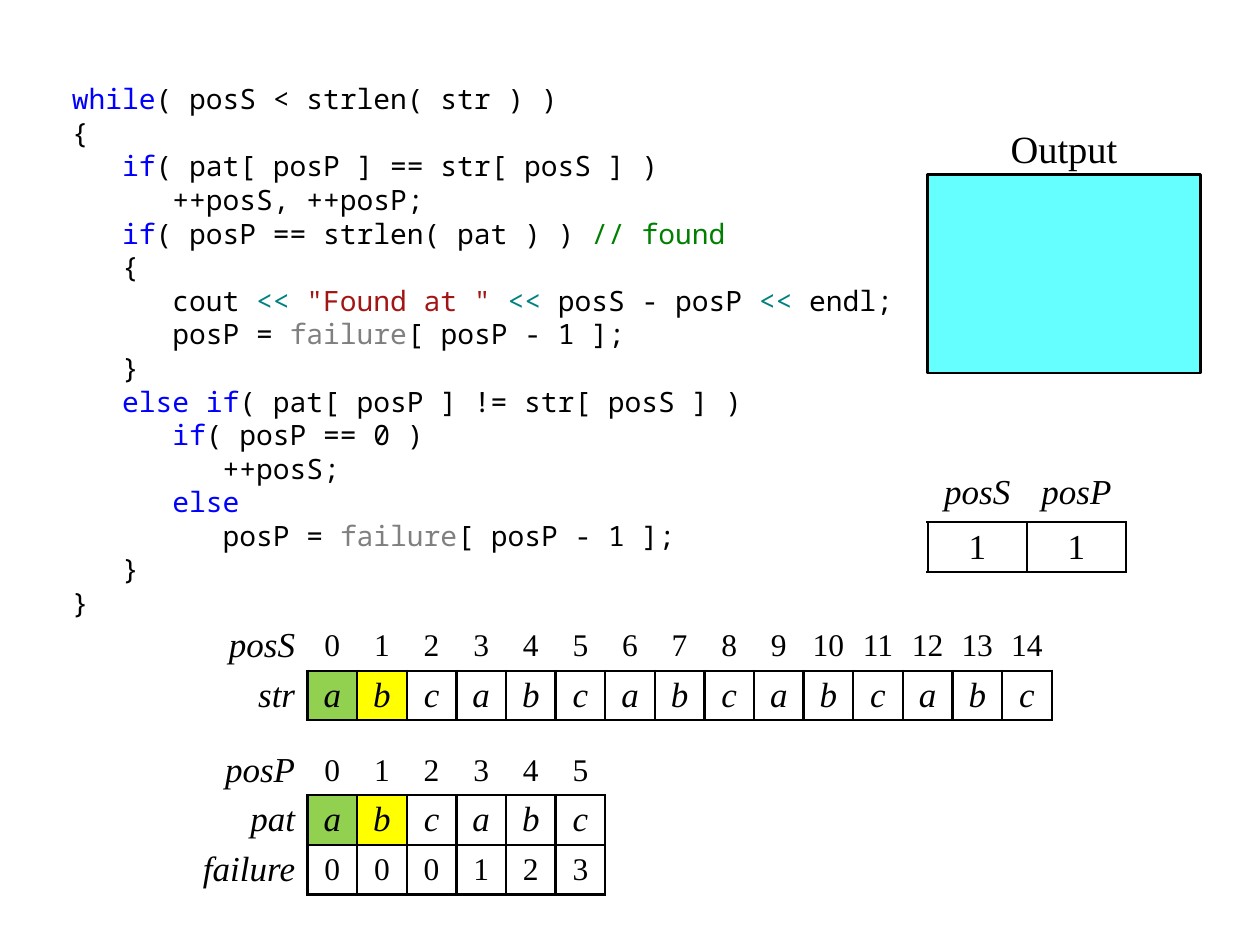
from pptx import Presentation
from pptx.dml.color import RGBColor as Rgb
from pptx.enum.shapes import MSO_SHAPE as Shape
from pptx.enum.text import MSO_ANCHOR as Anchor, PP_ALIGN as Align
from pptx.oxml.ns import qn
from pptx.util import Cm, Pt
from lxml.etree import SubElement as Sub

HUE = {"ink": "000000", "key": "0000FF", "note": "008000", "op": "008080",
       "text": "A31515", "name": "808080", "aqua": "66FFFF",
       "green": "92D050", "yellow": "FFFF00", "white": "FFFFFF"}
TONE = {"while": "key", "if": "key", "else if": "key", "else": "key",
        "// found": "note", "<<": "op", '"Found at "': "text",
        "failure": "name"}
CODE = [
    ("while", "( posS < strlen( str ) )"),
    ("{",),
    ("   ", "if", "( pat[ posP ] == str[ posS ] )"),
    ("      ++posS, ++posP;",),
    ("   ", "if", "( posP == strlen( pat ) ) ", "// found"),
    ("   {",),
    ("      cout ", "<< ", '"Found at " ', "<< ", "posS - posP ", "<< ",
     "endl;"),
    ("      posP = ", "failure", "[ posP - 1 ];"),
    ("   }",),
    ("   ", "else if", "( pat[ posP ] != str[ posS ] )"),
    ("      ", "if", "( posP == 0 )"),
    ("         ++posS;",),
    ("      ", "else"),
    ("         posP = ", "failure", "[ posP - 1 ];"),
    ("   }",),
    ("}",),
]
MARKS = {1: "green", 2: "yellow"}
SERIF = "Times New Roman"
UNIT = 1


def add_run(para, text, size, face, hue="ink", slant=False):
    """Add one styled run to a paragraph."""
    run = para.add_run()
    run.text = text
    font = run.font
    font.size, font.name, font.italic = Pt(size), face, slant
    font.color.rgb = Rgb.from_string(HUE[hue])


def add_text(slide, box, pads):
    """Add a wrapping text box and return its frame."""
    frame = slide.shapes.add_textbox(*map(Cm, box)).text_frame
    frame.word_wrap = True
    (frame.margin_left, frame.margin_top,
     frame.margin_right, frame.margin_bottom) = map(Cm, pads)
    return frame


def add_code(slide, box):
    """Place the coloured code listing."""
    frame = add_text(slide, box, (0.25, 0.13, 0.1, 0.13))
    for i, line in enumerate(CODE):
        para = frame.paragraphs[0] if i == 0 else frame.add_paragraph()
        para.line_spacing = Pt(19.2)
        for part in line:
            hue = TONE.get(part.strip(), "ink")
            add_run(para, part, 16, "Noto Sans Mono", hue)


def set_edge(cell, side, drawn):
    """Draw or clear one border of a cell."""
    props = cell._tc.get_or_add_tcPr()
    line = Sub(props, qn(f"a:ln{side}"), w=str(Pt(1.5)))
    if drawn:
        fill = Sub(line, qn("a:solidFill"))
        Sub(fill, qn("a:srgbClr"), val=HUE["ink"])
    else:
        Sub(line, qn("a:noFill"))


def add_grid(slide, spot, widths, rows, labels=1, size=18,
             head=Anchor.MIDDLE, marks=MARKS):
    """Place a table with open labels and headings around boxed cells."""
    high, wide = len(rows), len(widths)
    area = (*spot, sum(widths), UNIT * high)
    table = slide.shapes.add_table(high, wide, *map(Cm, area)).table
    table.first_row = table.horz_banding = False
    for col, width in zip(table.columns, widths):
        col.width = Cm(width)

    def boxed(r, c):
        """Tell whether a position holds a framed cell."""
        return 1 <= r < high and labels <= c < wide

    for r, row in enumerate(rows):
        table.rows[r].height = Cm(UNIT)
        for c, text in enumerate(row):
            cell, label = table.cell(r, c), c < labels
            for side, down, over in (("L", 0, -1), ("R", 0, 1),
                                     ("T", -1, 0), ("B", 1, 0)):
                set_edge(cell, side, boxed(r, c) or boxed(r + down, c + over))
            if boxed(r, c):
                cell.fill.solid()
                hue = marks.get(c, "white") if r == 1 else "white"
                cell.fill.fore_color.rgb = Rgb.from_string(HUE[hue])
            else:
                cell.fill.background()
            cell.margin_left = cell.margin_right = Cm(0.25 if label else 0.1)
            cell.margin_top = cell.margin_bottom = 0
            cell.vertical_anchor = Anchor.MIDDLE if r else head
            para = cell.text_frame.paragraphs[0]
            para.alignment = Align.RIGHT if label else Align.CENTER
            digit = text.isdigit()
            add_run(para, text, size if digit else 20, SERIF, slant=not digit)


def add_output(slide, box):
    """Place the output panel with its title above."""
    left, top, width, height = box
    panel = slide.shapes.add_shape(Shape.RECTANGLE, *map(Cm, box))
    panel.shadow.inherit = False
    panel.fill.solid()
    panel.fill.fore_color.rgb = Rgb.from_string(HUE["aqua"])
    panel.line.color.rgb = Rgb.from_string(HUE["ink"])
    panel.line.width = Pt(1.5)
    title = (left + 1, top - UNIT, width - 2, UNIT)
    para = add_text(slide, title, (0.25, 0, 0.25, 0.13)).paragraphs[0]
    para.alignment = Align.CENTER
    add_run(para, "Output", 22, SERIF)


def main():
    """Build and save the slide."""
    deck = Presentation()
    deck.slide_width, deck.slide_height = Cm(25.4), Cm(19.05)
    slide = deck.slides.add_slide(deck.slide_layouts[6])
    add_code(slide, (1.2, 1.52, 17, 11))
    add_grid(slide, (4.2, 12.52), [2] + [UNIT] * 15,
             [["posS", *map(str, range(15))], ["str", *"abc" * 5]])
    add_grid(slide, (18.7, 9.53), [2, 2], [["posS", "posP"], ["1", "1"]],
             labels=0, size=20, head=Anchor.TOP, marks={})
    add_grid(slide, (3.7, 15.03), [2.5] + [UNIT] * 6,
             [["posP", *map(str, range(6))], ["pat", *"abc" * 2],
              ["failure", *"000123"]])
    add_output(slide, (18.7, 3.52, 5.5, 4))
    deck.save("out.pptx")


if __name__ == "__main__":
    main()
